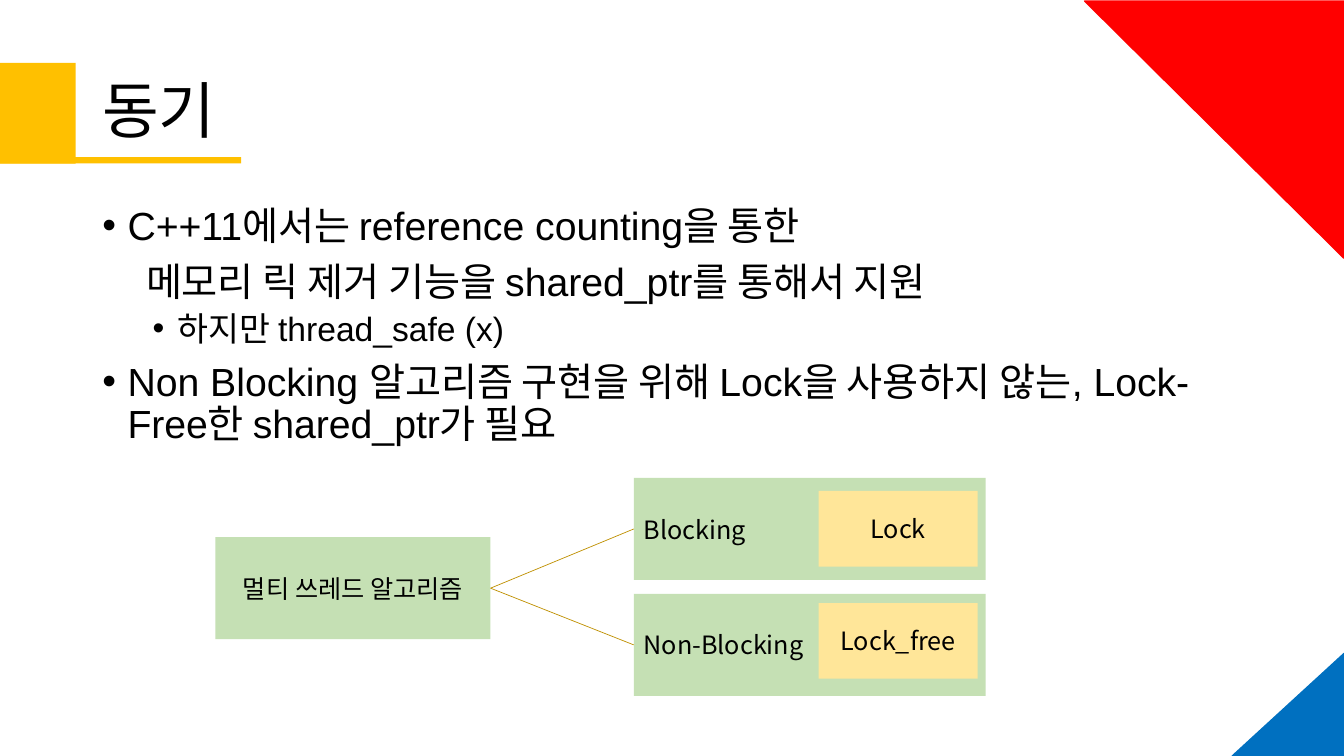
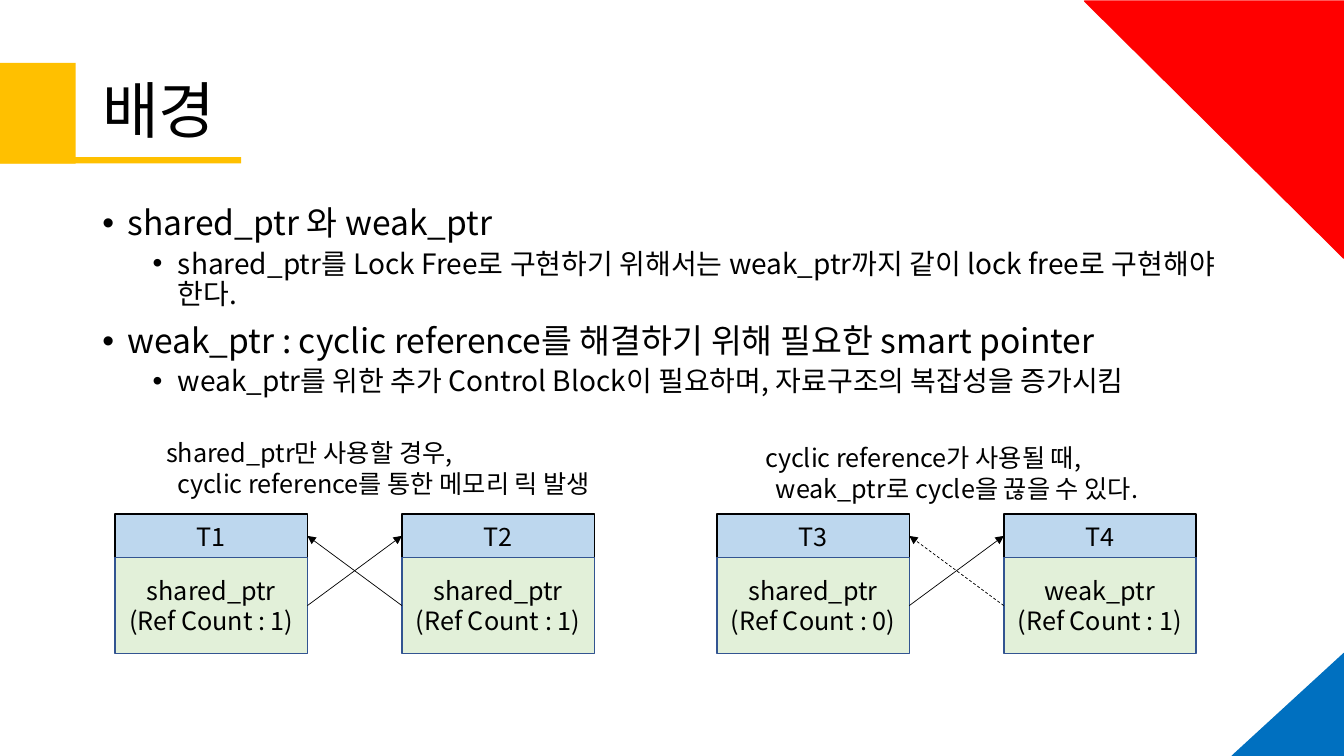
from dataclasses import dataclass
from itertools import product

from lxml import etree
from pptx import Presentation
from pptx.dml.color import RGBColor
from pptx.enum.dml import MSO_LINE
from pptx.enum.shapes import MSO_CONNECTOR, MSO_SHAPE
from pptx.enum.text import MSO_ANCHOR, PP_ALIGN
from pptx.oxml.ns import qn
from pptx.util import Inches, Pt

RECTANGLE, TRIANGLE = MSO_SHAPE.RECTANGLE, MSO_SHAPE.ISOSCELES_TRIANGLE
STRAIGHT = MSO_CONNECTOR.STRAIGHT
DASH = MSO_LINE.DASH
TOP, MIDDLE = MSO_ANCHOR.TOP, MSO_ANCHOR.MIDDLE
LEFT, CENTER = PP_ALIGN.LEFT, PP_ALIGN.CENTER
LEFT_SIDE, RIGHT_SIDE = 1, 3

# The slide is a grid of 160 columns by 90 rows of square cells
COLUMNS, ROWS = 160, 90
SLIDE_WIDTH, SLIDE_HEIGHT = Inches(13.333), Inches(7.5)


@dataclass(frozen=True)
class Theme:
    font: str = "Noto Sans CJK KR"
    body_font: str = "Arial"
    title_size: int = 44
    label_size: int = 18
    text: str = "000000"
    yellow: str = "FFC000"
    blue: str = "0070C0"
    red: str = "FF0000"
    green: str = "C5E0B4"
    cream: str = "FFE699"
    gold: str = "BF9000"
    head_fill: str = "BDD7EE"
    count_fill: str = "E2F0D9"
    count_line: str = "325491"


THEME = Theme()


@dataclass(frozen=True)
class Line:
    """One paragraph; indents are in grid columns."""
    text: str
    size: int
    level: int = 0
    indent: float = 0
    bullet: bool = False
    before: int = 0
    spacing: float = 1.0


def cells(count):
    return round(SLIDE_WIDTH * count / COLUMNS)


def place(area):
    return [cells(length) for length in area]


# Text
def style_span(span, size, font):
    span.font.size = Pt(size)
    span.font.name = font
    span.font.color.rgb = RGBColor.from_string(THEME.text)
    east_asian = etree.SubElement(span.font._element, qn("a:ea"))
    east_asian.set("typeface", THEME.font)


def add_bullet(para):
    properties = para._p.get_or_add_pPr()
    etree.SubElement(properties, qn("a:buFont")).set("typeface", "Arial")
    etree.SubElement(properties, qn("a:buChar")).set("char", "•")


def write_lines(box, lines, font=THEME.font, align=LEFT, anchor=TOP):
    frame = box.text_frame
    frame.word_wrap = True
    frame.vertical_anchor = anchor
    frame.text = "\n".join(line.text for line in lines)
    for position, (para, line) in enumerate(zip(frame.paragraphs, lines)):
        para.alignment = align
        para.level = line.level
        para.line_spacing = line.spacing
        para.space_before = Pt(line.before if position else 0)
        properties = para._p.get_or_add_pPr()
        properties.set("marL", str(cells(line.indent)))
        properties.set("indent", str(cells(-3) if line.bullet else 0))
        if line.bullet:
            add_bullet(para)
        for span in para.runs:
            style_span(span, line.size, font)


def add_text(page, area, lines, **options):
    write_lines(page.shapes.add_textbox(*place(area)), lines, **options)


def bullet(text, size, level=0):
    return Line(text, size, level, indent=9 if level else 3, bullet=True,
                before=5 if level else 10, spacing=0.9)


# Shapes
def add_block(page, area, fill, outline=None, kind=RECTANGLE):
    block = page.shapes.add_shape(kind, *place(area))
    block.shadow.inherit = False
    block.fill.solid()
    block.fill.fore_color.rgb = RGBColor.from_string(fill)
    if outline:
        block.line.color.rgb = RGBColor.from_string(outline)
        block.line.width = Pt(1)
    else:
        block.line.fill.background()
    return block


def add_label(page, area, text, fill, outline=None, align=CENTER):
    block = add_block(page, area, fill, outline)
    lines = [Line(part, THEME.label_size) for part in text.split("\n")]
    write_lines(block, lines, align=align, anchor=MIDDLE)
    return block


def add_corner(page, area, colour, rotation=0):
    corner = add_block(page, area, colour, colour, TRIANGLE)
    corner.adjustments[0] = 1
    corner.rotation = rotation


def join(page, start, start_side, end, end_side, colour, arrow=False, dash=None):
    link = page.shapes.add_connector(STRAIGHT, 0, 0, 0, 0)
    link.begin_connect(start, start_side)
    link.end_connect(end, end_side)
    link.line.color.rgb = RGBColor.from_string(colour)
    link.line.width = Pt(0.5)
    if dash:
        link.line.dash_style = dash
    if arrow:
        outline = link.line._get_or_add_ln()
        etree.SubElement(outline, qn("a:tailEnd")).set("type", "triangle")
    etree.SubElement(link._element.spPr, qn("a:effectLst"))


# Shared page frame
def add_page(deck, title, lines, font=THEME.font):
    page = deck.slides.add_slide(deck.slide_layouts[6])
    add_text(page, (11, 4.8, 138, 17.4),
             [Line(title, THEME.title_size, spacing=0.9)], anchor=MIDDLE)
    add_text(page, (11, 24, 138, 57), lines, font=font)
    add_block(page, (0, 7.5, 9, 12), THEME.yellow)
    add_block(page, (0, 18.7, 28.7, 0.75), THEME.yellow)
    add_corner(page, (146.7, 77.8, 13.3, 12.2), THEME.blue)
    add_corner(page, (129.25, 0, 30.6, 30.85), THEME.red, rotation=270)
    return page


# Diagrams
def add_algorithm_tree(page):
    height = 12.15
    root = add_label(page, (25.65, 63.95, 32.75, height),
                     "멀티 쓰레드 알고리즘", THEME.green)
    branches = (("Blocking", 56.9, "Lock", 58.45),
                ("Non-Blocking", 70.7, "Lock_free", 71.8))
    for name, top, method, method_top in branches:
        branch = add_label(page, (75.45, top, 41.9, height), name,
                           THEME.green, align=LEFT)
        join(page, root, RIGHT_SIDE, branch, LEFT_SIDE, THEME.gold)
        add_label(page, (97.45, method_top, 18.95, 9), method, THEME.cream)


def add_reference_cycle(page, left, nodes, return_dash=None):
    width, pitch, top, head_height, count_height = 22.9, 34.15, 61.2, 5.2, 11.4
    heads, counts = [], []
    for column, (name, count) in enumerate(nodes):
        node_left = left + column * pitch
        heads.append(add_label(page, (node_left, top, width, head_height),
                               name, THEME.head_fill, THEME.text))
        counts.append(add_label(
            page, (node_left, top + head_height, width, count_height),
            count, THEME.count_fill, THEME.count_line))
    join(page, counts[0], RIGHT_SIDE, heads[1], LEFT_SIDE, THEME.text, arrow=True)
    join(page, counts[1], LEFT_SIDE, heads[0], RIGHT_SIDE, THEME.text,
         arrow=True, dash=return_dash)


def add_caption(page, area, first, second):
    add_text(page, area, [Line(first, THEME.label_size, 1, indent=6),
                          Line(second, THEME.label_size, 1, indent=7.3)])


# Pages
def build_motivation(deck):
    page = add_page(deck, "동기", [
        bullet("C++11에서는 reference counting을 통한", 28),
        Line("메모리 릭 제거 기능을 shared_ptr를 통해서 지원", 28,
             indent=5.2, before=10, spacing=0.9),
        bullet("하지만 thread_safe (x)", 24, 1),
        bullet("Non Blocking 알고리즘 구현을 위해 Lock을 사용하지 않는, "
               "Lock-Free한 shared_ptr가 필요", 28),
    ], THEME.body_font)
    add_algorithm_tree(page)


def build_background(deck):
    page = add_page(deck, "배경", [
        bullet("shared_ptr 와 weak_ptr", 24),
        bullet("shared_ptr를 Lock Free로 구현하기 위해서는 weak_ptr까지 같이 "
               "lock free로 구현해야 한다.", 20, 1),
        bullet("weak_ptr : cyclic reference를 해결하기 위해 필요한 smart pointer", 24),
        bullet("weak_ptr를 위한 추가 Control Block이 필요하며, "
               "자료구조의 복잡성을 증가시킴", 20, 1),
    ])
    names = [f"T{number}" for number in range(1, 5)]
    counts = [f"{pointer}\n(Ref Count : {count})" for pointer, count in (
        ("shared_ptr", 1), ("shared_ptr", 1), ("shared_ptr", 0), ("weak_ptr", 1))]
    nodes = list(zip(names, counts))
    add_reference_cycle(page, 13.7, nodes[:2])
    add_reference_cycle(page, 85.35, nodes[2:], return_dash=DASH)
    add_caption(page, (12.6, 51.5, 63.6, 12.1), "shared_ptr만 사용할 경우,",
                "cyclic reference를 통한 메모리 릭 발생")
    add_caption(page, (83.9, 52.1, 55.7, 12.1), "cyclic reference가 사용될 때,",
                "weak_ptr로 cycle을 끊을 수 있다.")


def main():
    deck = Presentation()
    deck.slide_width, deck.slide_height = SLIDE_WIDTH, SLIDE_HEIGHT
    build_motivation(deck)
    build_background(deck)
    deck.save("out.pptx")


if __name__ == "__main__":
    main()
